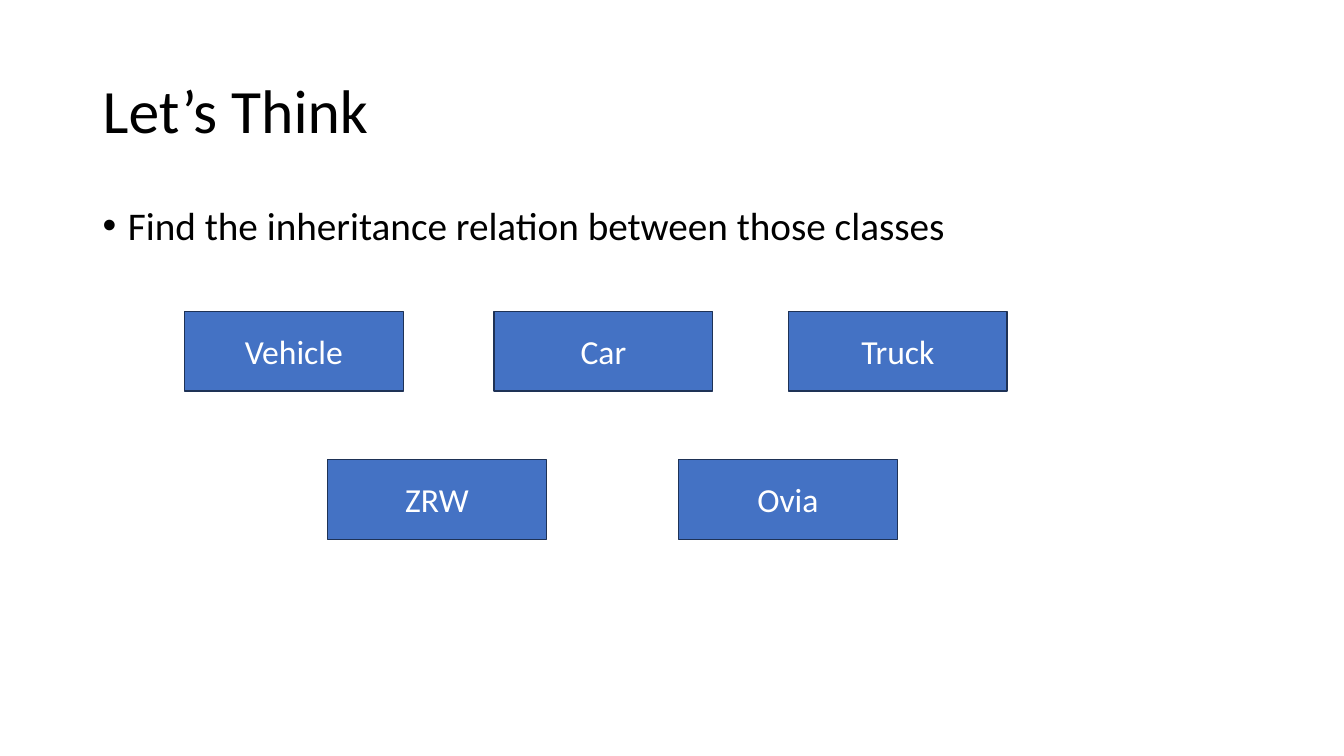
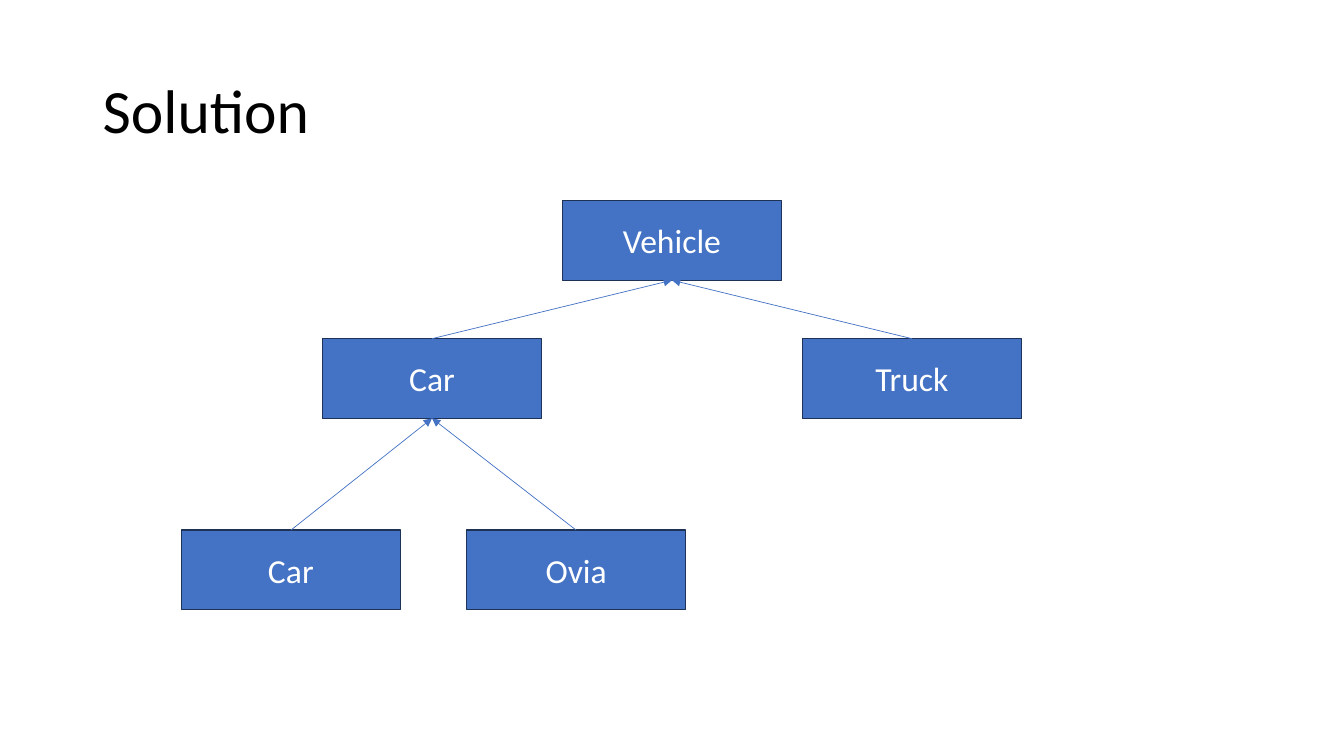
import pptx
import pptx.util
import pptx.dml.color
import pptx.enum.shapes
import pptx.enum.text
import pptx.oxml.ns
import lxml.etree

Inches, Pt = pptx.util.Inches, pptx.util.Pt
ANCHOR = pptx.enum.text.MSO_ANCHOR
ALIGN = pptx.enum.text.PP_ALIGN

FONT = "Calibri"
HUES = {"text": "000000", "fill": "4472C4", "edge": "1E3256", "label": "FFFFFF"}
BOX_W, BOX_H = 2.17, 0.79
TOP, BOTTOM = 0, 2  # connection sites of a rectangle


def hue(name):
    return pptx.dml.color.RGBColor.from_string(HUES[name])


def add_tag(parent, tag, **attrs):
    return lxml.etree.SubElement(parent, pptx.oxml.ns.qn(tag), **attrs)


def set_text(shape, text, size, color, anchor):
    frame = shape.text_frame
    frame.text = text
    frame.word_wrap = True
    frame.vertical_anchor = anchor
    para = frame.paragraphs[0]
    font = para.runs[0].font
    font.name, font.size = FONT, Pt(size)
    font.color.rgb = hue(color)
    return para


def add_line(slide, text, top, height, size, anchor):
    """Full-width line of text on the shared margins."""
    box = slide.shapes.add_textbox(
        Inches(0.92), Inches(top), Inches(11.5), Inches(height))
    para = set_text(box, text, size, "text", anchor)
    para.line_spacing = 0.9
    return para


def add_slide(deck, title):
    slide = deck.slides.add_slide(deck.slide_layouts[6])
    add_line(slide, title, 0.4, 1.45, 44, ANCHOR.MIDDLE)
    return slide


def add_bullet(slide, text):
    para = add_line(slide, text, 2, 0.79, 28, ANCHOR.TOP)
    para.space_before = Pt(10)
    props = para._p.get_or_add_pPr()
    props.set("marL", str(Inches(0.25)))
    props.set("indent", str(Inches(-0.25)))
    add_tag(props, "a:buFont", typeface="Arial")
    add_tag(props, "a:buChar", char="•")


def add_box(slide, text, left, top):
    box = slide.shapes.add_shape(
        pptx.enum.shapes.MSO_SHAPE.RECTANGLE,
        Inches(left), Inches(top), Inches(BOX_W), Inches(BOX_H))
    box.shadow.inherit = False
    box.fill.solid()
    box.fill.fore_color.rgb = hue("fill")
    box.line.color.rgb = hue("edge")
    box.line.width = Pt(1)
    set_text(box, text, 24, "label", ANCHOR.MIDDLE).alignment = ALIGN.CENTER
    return box


def add_row(slide, top, items):
    return [add_box(slide, text, left, top) for text, left in items]


def add_arrow(slide, child, parent):
    """Arrow from the top of a subclass to the bottom of its base class."""
    arrow = slide.shapes.add_connector(
        pptx.enum.shapes.MSO_CONNECTOR.STRAIGHT, 0, 0, 0, 0)
    arrow.begin_connect(child, TOP)
    arrow.end_connect(parent, BOTTOM)
    arrow.line.color.rgb = hue("fill")
    arrow.line.width = Pt(0.5)
    add_tag(arrow.line._get_or_add_ln(), "a:tailEnd", type="triangle")
    add_tag(arrow._element.spPr, "a:effectLst")


def main():
    deck = pptx.Presentation()
    deck.slide_width, deck.slide_height = Inches(13.33), Inches(7.5)

    # Question: loose classes
    slide = add_slide(deck, "Let’s Think")
    add_bullet(slide, "Find the inheritance relation between those classes")
    add_row(slide, 3.09, [("Vehicle", 1.83), ("Car", 4.9), ("Truck", 7.82)])
    add_row(slide, 4.56, [("ZRW", 3.25), ("Ovia", 6.73)])

    # Answer: class tree
    slide = add_slide(deck, "Solution")
    base, = add_row(slide, 1.99, [("Vehicle", 5.58)])
    kinds = add_row(slide, 3.36, [("Car", 3.2), ("Truck", 7.96)])
    makes = add_row(slide, 5.26, [("Car", 1.8), ("Ovia", 4.63)])
    for parent, group in ((kinds[0], makes), (base, kinds)):
        for child in group:
            add_arrow(slide, child, parent)

    deck.save("out.pptx")


if __name__ == "__main__":
    main()
